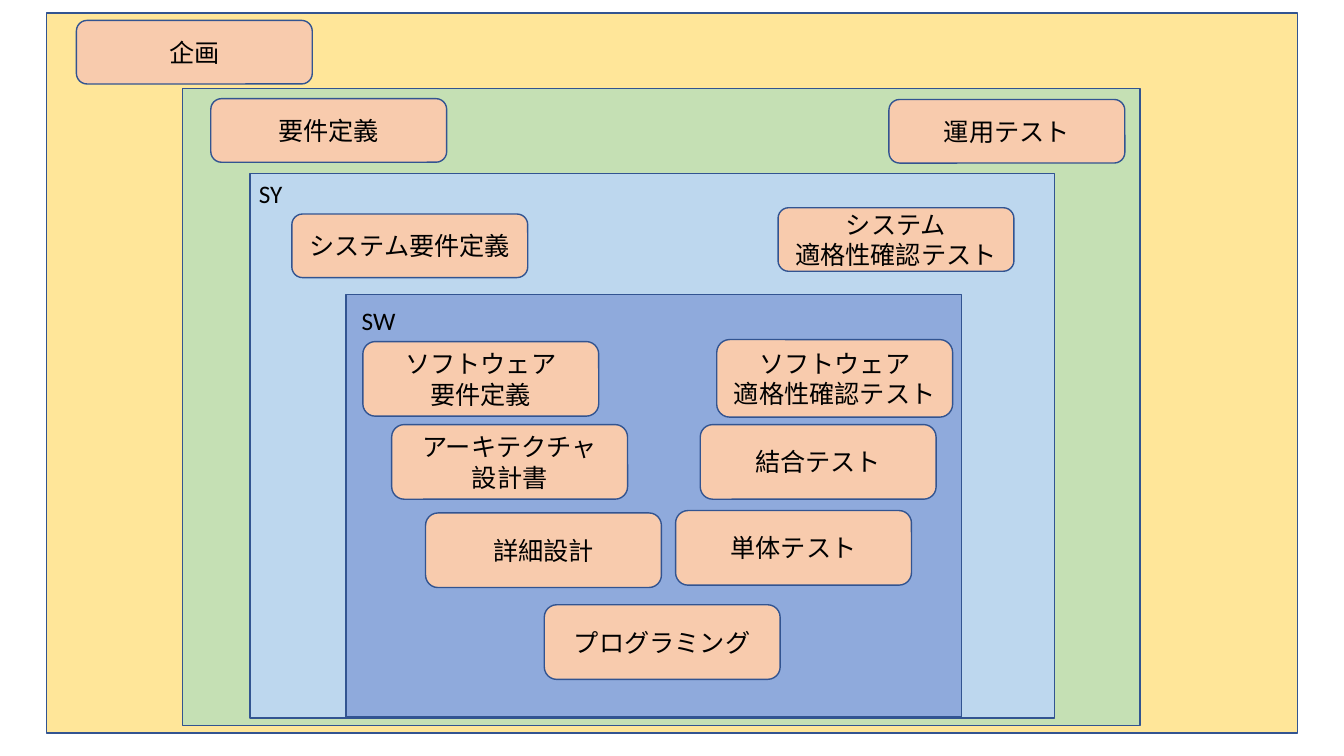
"""Build a slide of nested development scopes with paired design and test steps."""
from dataclasses import dataclass

from pptx import Presentation
from pptx.dml.color import RGBColor
from pptx.enum.shapes import MSO_SHAPE
from pptx.enum.text import MSO_ANCHOR, MSO_AUTO_SIZE, PP_ALIGN
from pptx.util import Pt

RECTANGLE = MSO_SHAPE.RECTANGLE
ROUNDED = MSO_SHAPE.ROUNDED_RECTANGLE
MIDDLE = MSO_ANCHOR.MIDDLE
CENTER = PP_ALIGN.CENTER
LEFT = PP_ALIGN.LEFT
GROW = MSO_AUTO_SIZE.SHAPE_TO_FIT_TEXT
BLANK_LAYOUT = 6

COLOURS = {
    "business": "FFE699",
    "operation": "C5E0B4",
    "system": "BDD7EE",
    "software": "8FAADC",
    "step": "F8CBAD",
    "outline": "325491",
    "text": "000000",
}
FONT = {"name": "Calibri", "size": Pt(18)}
STEP_WIDTH = 168.5
LOW, TALL, TALLEST = 45.4, 53.3, 55.4


@dataclass
class Scope:
    """A coloured frame around a group of steps."""
    colour: str
    left: float
    top: float
    width: float
    height: float


@dataclass
class Label:
    """A short name in the corner of a scope."""
    text: str
    left: float
    top: float


@dataclass
class Step:
    """A rounded box naming one activity."""
    text: str
    left: float
    top: float
    height: float = TALL


SCOPES = [
    Scope("business", 33.3, 9.4, 893.5, 514.1),
    Scope("operation", 130.3, 63.4, 684, 455),
    Scope("system", 178.6, 124, 574.6, 388.8),
    Scope("software", 247, 210.2, 439.9, 302),
]
LABELS = [Label("SY", 177.8, 123.8), Label("SW", 251.3, 214.6)]
STEPS = [
    Step("要件定義", 150.6, 70.5, LOW),
    Step("システム要件定義", 208.5, 152.9, LOW),
    Step("システム\n適格性確認テスト", 555.8, 148.4, LOW),
    Step("ソフトウェア\n要件定義", 259.2, 244),
    Step("プログラミング", 388.8, 432),
    Step("ソフトウェア\n適格性確認テスト", 512, 242.6, TALLEST),
    Step("企画", 54.6, 14.6, LOW),
    Step("アーキテクチャ\n設計書", 279.8, 303.3),
    Step("結合テスト", 500.2, 303.3),
    Step("運用テスト", 635, 71.1, LOW),
    Step("詳細設計", 304, 366.4),
    Step("単体テスト", 482.6, 364.7),
]


def colour(name: str) -> RGBColor:
    """Return a named colour."""
    return RGBColor.from_string(COLOURS[name])


def add_box(page, kind, fill: str, left: float, top: float, width: float, height: float):
    """Add a filled and outlined shape."""
    box = page.shapes.add_shape(kind, Pt(left), Pt(top), Pt(width), Pt(height))
    box.shadow.inherit = False
    box.fill.solid()
    box.fill.fore_color.rgb = colour(fill)
    box.line.color.rgb = colour("outline")
    box.line.width = Pt(1)
    return box


def write_text(frame, text: str, alignment) -> None:
    """Write one formatted paragraph for each line of text."""
    for index, line in enumerate(text.split("\n")):
        para = frame.add_paragraph() if index else frame.paragraphs[0]
        para.alignment = alignment
        span = para.add_run()
        span.text = line
        for attribute, value in FONT.items():
            setattr(span.font, attribute, value)
        span.font.color.rgb = colour("text")


def add_scope(page, scope: Scope) -> None:
    """Draw a scope frame."""
    add_box(page, RECTANGLE, scope.colour, scope.left, scope.top, scope.width, scope.height)


def add_label(page, label: Label) -> None:
    """Draw a scope label."""
    box = page.shapes.add_textbox(Pt(label.left), Pt(label.top), Pt(216), Pt(29))
    box.text_frame.word_wrap = True
    box.text_frame.auto_size = GROW
    write_text(box.text_frame, label.text, LEFT)


def add_step(page, step: Step) -> None:
    """Draw a step with centred text."""
    box = add_box(page, ROUNDED, "step", step.left, step.top, STEP_WIDTH, step.height)
    box.text_frame.word_wrap = True
    box.text_frame.vertical_anchor = MIDDLE
    write_text(box.text_frame, step.text, CENTER)


def main() -> None:
    """Build and save the deck."""
    deck = Presentation()
    deck.slide_width, deck.slide_height = Pt(960), Pt(540)
    page = deck.slides.add_slide(deck.slide_layouts[BLANK_LAYOUT])
    for scope in SCOPES:
        add_scope(page, scope)
    for label in LABELS:
        add_label(page, label)
    for step in STEPS:
        add_step(page, step)
    deck.save("out.pptx")


if __name__ == "__main__":
    main()
